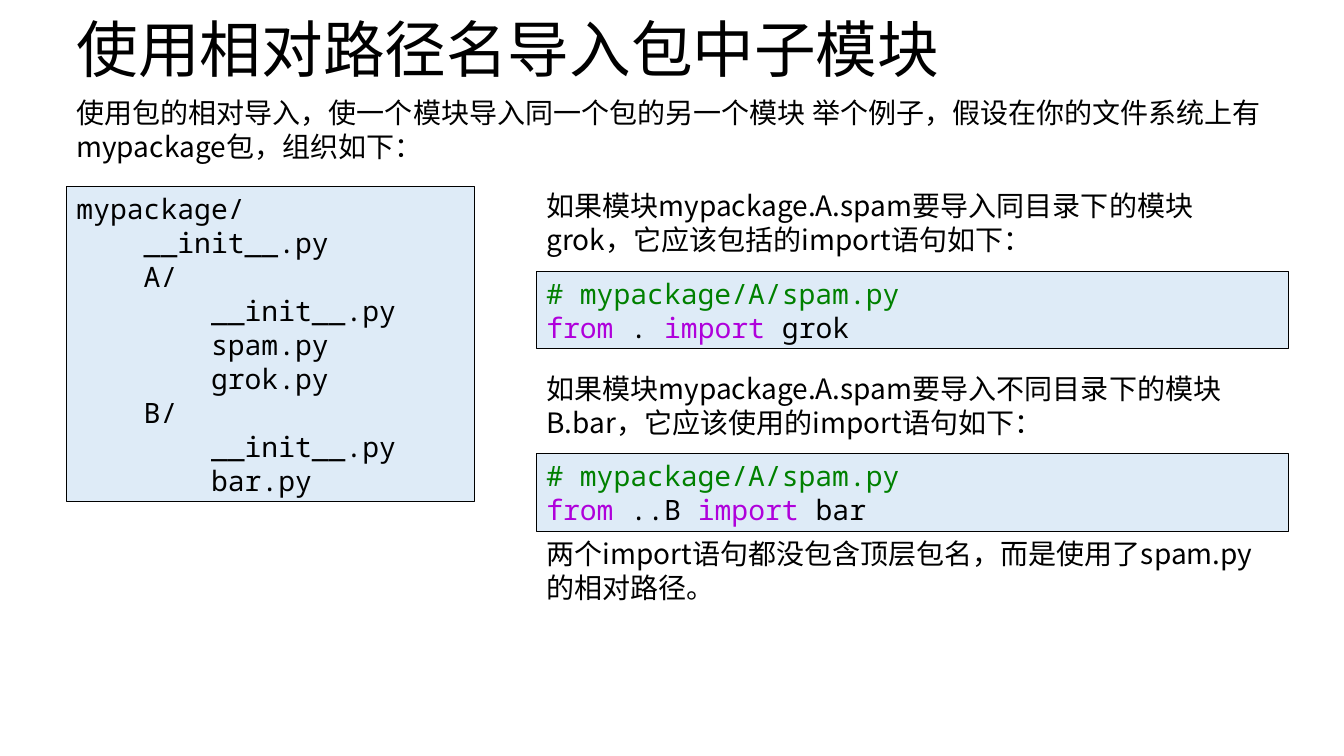
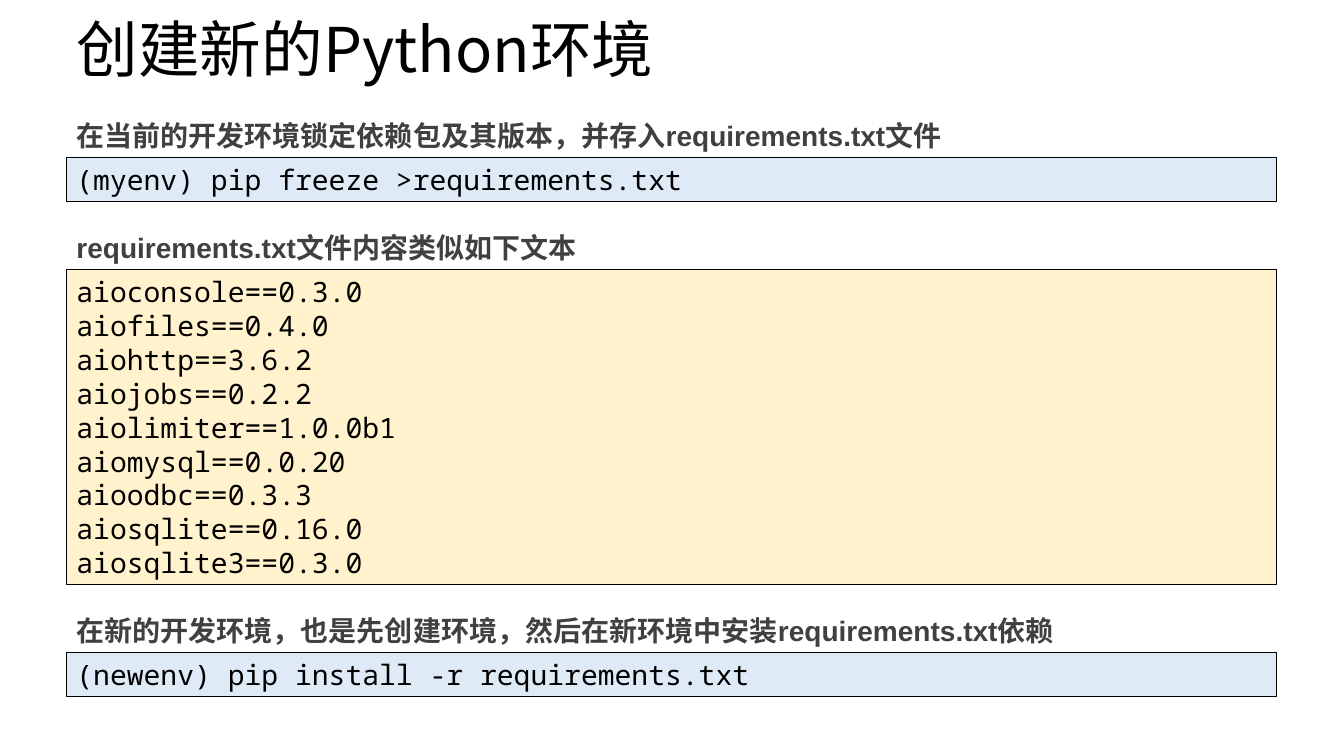
from dataclasses import dataclass
from itertools import groupby

from pptx import Presentation
from pptx.dml.color import RGBColor as RGB
from pptx.enum.shapes import MSO_SHAPE as SHAPE
from pptx.enum.text import MSO_ANCHOR as ANCHOR, PP_ALIGN as ALIGN
from pptx.oxml import parse_xml
from pptx.oxml.ns import nsdecls
from pptx.util import Pt

PX = 9144  # EMU, 100 px to the inch


@dataclass(frozen=True)
class Theme:
    ink: str = "000000"
    caption: str = "404040"
    comment: str = "008000"
    keyword: str = "AF00DB"
    code_fill: str = "DEEBF7"
    file_fill: str = "FFF2CC"
    sans: str = "Noto Sans CJK SC"
    mono: str = "Noto Sans Mono"
    bold: str = "Arial"
    title_size: int = 44
    text_size: int = 20
    pitch: float = 24.25


T = Theme()
TITLE_BOX = (66, 0, 1150, 105)
LEFT = 66
KEYWORDS = {"from", "import"}

PACKAGE_TREE = [
    "mypackage/",
    "    __init__.py",
    "    A/",
    "        __init__.py",
    "        spam.py",
    "        grok.py",
    "    B/",
    "        __init__.py",
    "        bar.py",
]
REQUIREMENTS = [
    "aioconsole==0.3.0",
    "aiofiles==0.4.0",
    "aiohttp==3.6.2",
    "aiojobs==0.2.2",
    "aiolimiter==1.0.0b1",
    "aiomysql==0.0.20",
    "aioodbc==0.3.3",
    "aiosqlite==0.16.0",
    "aiosqlite3==0.3.0",
]


def emu(*lengths):
    return [round(n * PX) for n in lengths]


def text_height(lines):
    """Height in px of a box that holds this many lines."""
    return round(10 + lines * T.pitch * 100 / 72)


def style(r, face, size, color, bold=False):
    f = r.font
    f.name, f.size, f.bold = face, Pt(size), bold
    f.color.rgb = RGB.from_string(color)
    east_asian = T.sans if face == T.bold else face
    f._element.find("{*}latin").addnext(
        parse_xml(f'<a:ea {nsdecls("a")} typeface="{east_asian}"/>'))


def add_titled_slide(prs, title):
    s = prs.slides.add_slide(prs.slide_layouts[5])
    sp = s.shapes.title
    sp.left, sp.top, sp.width, sp.height = emu(*TITLE_BOX)
    tf = sp.text_frame
    tf.text = title
    tf.vertical_anchor = ANCHOR.MIDDLE
    p = tf.paragraphs[0]
    p.alignment, p.line_spacing = ALIGN.LEFT, 0.9
    style(p.runs[0], T.sans, T.title_size, T.ink)
    return s


def add_note(s, left, top, width, text, lines=2, heading=False):
    """Place a paragraph or bold heading and return its bottom edge."""
    height = text_height(lines)
    tf = s.shapes.add_textbox(*emu(left, top, width, height)).text_frame
    tf.word_wrap = True
    tf.text = text
    p = tf.paragraphs[0]
    p.line_spacing = Pt(T.pitch)
    face, color = (T.bold, T.caption) if heading else (T.sans, T.ink)
    style(p.runs[0], face, T.text_size, color, heading)
    return top + height


def add_code_line(p, line):
    p.alignment, p.line_spacing = ALIGN.LEFT, Pt(T.pitch)
    if line.startswith("#"):
        p.text = line
        style(p.runs[0], T.mono, T.text_size, T.comment)
        return
    for is_keyword, words in groupby(line.split(" "), lambda w: w in KEYWORDS):
        gap = " " if p.runs else ""
        r = p.add_run()
        r.text = gap + " ".join(words)
        style(r, T.mono, T.text_size, T.keyword if is_keyword else T.ink)


def add_code(s, left, top, width, lines, fill=T.code_fill):
    """Place a bordered code box and return its bottom edge."""
    height = text_height(len(lines))
    sp = s.shapes.add_shape(SHAPE.RECTANGLE, *emu(left, top, width, height))
    sp.shadow.inherit = False
    sp.fill.solid()
    sp.fill.fore_color.rgb = RGB.from_string(fill)
    sp.line.color.rgb = RGB.from_string(T.ink)
    sp.line.width = Pt(0.75)
    tf = sp.text_frame
    tf.word_wrap, tf.vertical_anchor = True, ANCHOR.TOP
    for i, line in enumerate(lines):
        add_code_line(tf.add_paragraph() if i else tf.paragraphs[0], line)
    return top + height


def add_import_slide(prs):
    s = add_titled_slide(prs, "使用相对路径名导入包中子模块")
    add_note(s, LEFT, 90, 1196,
             "使用包的相对导入，使一个模块导入同一个包的另一个模块 举个例子，"
             "假设在你的文件系统上有mypackage包，组织如下：")
    add_code(s, LEFT, 185, 405, PACKAGE_TREE)
    add_import_column(s, 532, 182, 746)


def add_import_column(s, left, top, width):
    cases = [
        ("如果模块mypackage.A.spam要导入同目录下的模块grok，它应该包括的import语句如下：",
         "from . import grok"),
        ("如果模块mypackage.A.spam要导入不同目录下的模块B.bar，它应该使用的import语句如下：",
         "from ..B import bar"),
    ]
    case_step = 181
    for i, (note, statement) in enumerate(cases):
        bottom = add_note(s, left, top + i * case_step, width, note)
        bottom = add_code(s, left, bottom + 10, width,
                          ["# mypackage/A/spam.py", statement])
    add_note(s, left, bottom, width,
             "两个import语句都没包含顶层包名，而是使用了spam.py的相对路径。")


def add_environment_slide(prs):
    s = add_titled_slide(prs, "创建新的Python环境")
    steps = [
        ("在当前的开发环境锁定依赖包及其版本，并存入requirements.txt文件",
         ["(myenv) pip freeze >requirements.txt"], T.code_fill),
        ("requirements.txt文件内容类似如下文本", REQUIREMENTS, T.file_fill),
        ("在新的开发环境，也是先创建环境，然后在新环境中安装requirements.txt依赖",
         ["(newenv) pip install -r requirements.txt"], T.code_fill),
    ]
    top, width, gap = 112, 1200, 23
    for heading, lines, fill in steps:
        bottom = add_note(s, LEFT, top, width, heading, lines=1, heading=True)
        top = add_code(s, LEFT, bottom, width, lines, fill) + gap


def main():
    prs = Presentation()
    prs.slide_width, prs.slide_height = emu(1333, 750)
    add_import_slide(prs)
    add_environment_slide(prs)
    prs.save("out.pptx")


if __name__ == "__main__":
    main()
